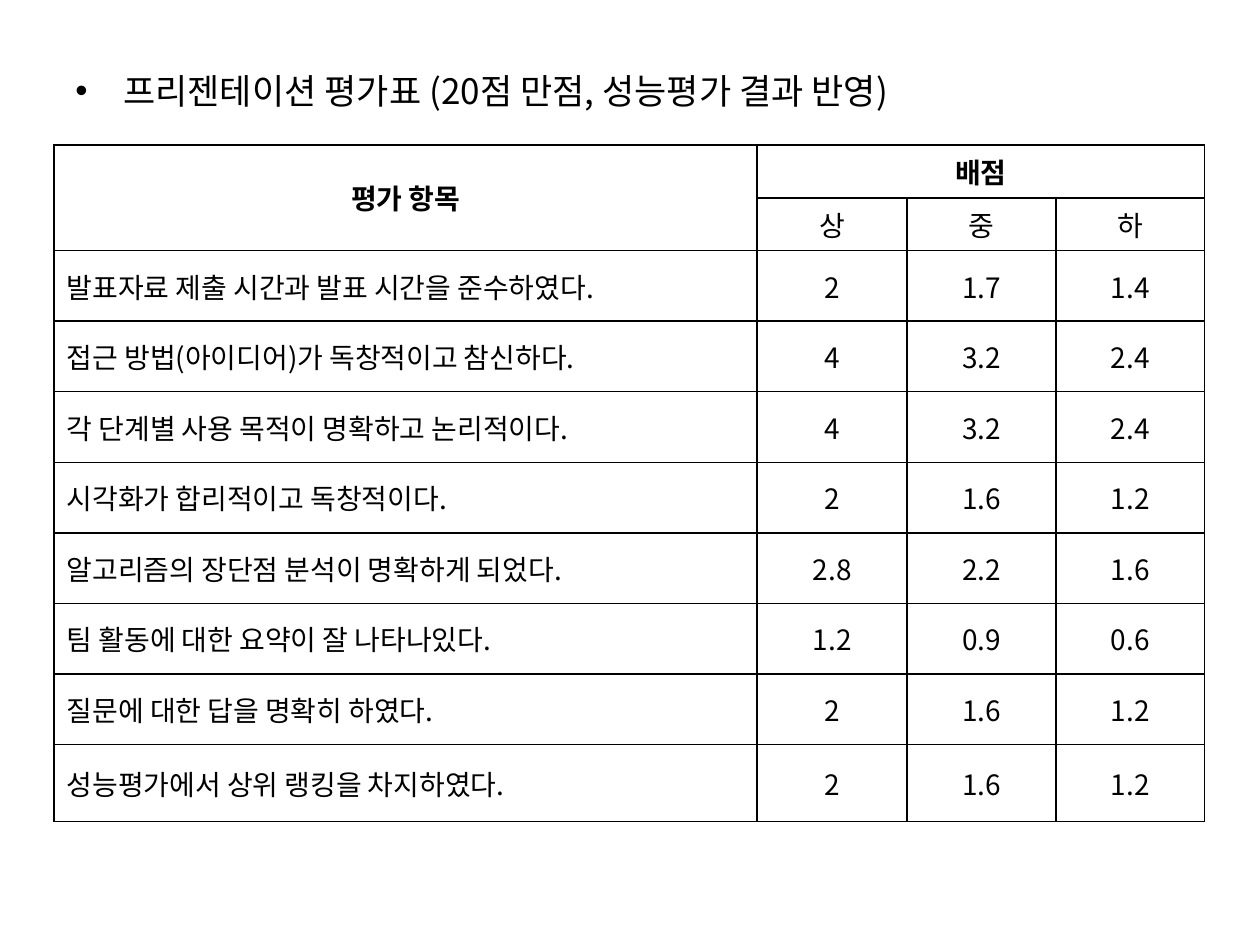
from pptx import Presentation
from pptx.dml.color import RGBColor
from pptx.enum.text import MSO_ANCHOR as Anchor, PP_ALIGN as Align
from pptx.oxml.ns import qn
from pptx.util import Inches, Pt
from lxml.etree import SubElement

# Content
HEADING = "프리젠테이션 평가표 (20점 만점, 성능평가 결과 반영)"
ITEM_HEADER, SCORE_HEADER = "평가 항목", "배점"
GRADES = ["상", "중", "하"]
CRITERIA = [
    ("발표자료 제출 시간과 발표 시간을 준수하였다.", "2", "1.7", "1.4"),
    ("접근 방법(아이디어)가 독창적이고 참신하다.", "4", "3.2", "2.4"),
    ("각 단계별 사용 목적이 명확하고 논리적이다.", "4", "3.2", "2.4"),
    ("시각화가 합리적이고 독창적이다.", "2", "1.6", "1.2"),
    ("알고리즘의 장단점 분석이 명확하게 되었다.", "2.8", "2.2", "1.6"),
    ("팀 활동에 대한 요약이 잘 나타나있다.", "1.2", "0.9", "0.6"),
    ("질문에 대한 답을 명확히 하였다.", "2", "1.6", "1.2"),
    ("성능평가에서 상위 랭킹을 차지하였다.", "2", "1.6", "1.2"),
]

THEME = {
    "font": "Noto Sans CJK KR",
    "ink": RGBColor(0, 0, 0),
    "paper": RGBColor(255, 255, 255),
    "heading_size": Pt(20),
    "table_size": Pt(16),
    "border": Pt(1),
}

# Layout in inches
COLUMN_WIDTHS = [5.58, 1.19, 1.18, 1.18]
ROW_HEIGHTS = [0.42] * 2 + [0.56] * (len(CRITERIA) - 1) + [0.61]
TABLE_LEFT, TABLE_TOP = 0.43, 1.15
BULLET_INDENT = Inches(0.38)


def write(text_frame, text, size, bold=False, align=Align.LEFT):
    paragraph = text_frame.paragraphs[0]
    paragraph.alignment = align
    run = paragraph.add_run()
    run.text = text
    font = run.font
    font.name, font.size, font.bold = THEME["font"], size, bold
    font.color.rgb = THEME["ink"]
    SubElement(run._r.get_or_add_rPr(), qn("a:ea"), typeface=THEME["font"])
    return paragraph


def style_cell(cell):
    properties = cell._tc.get_or_add_tcPr()
    for side in ("a:lnL", "a:lnR", "a:lnT", "a:lnB"):
        line = SubElement(properties, qn(side), w=str(THEME["border"]))
        fill = SubElement(line, qn("a:solidFill"))
        SubElement(fill, qn("a:srgbClr"), val=str(THEME["ink"]))
    cell.fill.solid()
    cell.fill.fore_color.rgb = THEME["paper"]
    cell.vertical_anchor = Anchor.MIDDLE


def add_heading(slide):
    box = slide.shapes.add_textbox(Inches(0.5), Inches(0.52), Inches(9.07), Inches(0.39))
    frame = box.text_frame
    frame.word_wrap = True
    frame.vertical_anchor = Anchor.MIDDLE
    paragraph = write(frame, HEADING, THEME["heading_size"])
    properties = paragraph._p.get_or_add_pPr()
    properties.set("marL", str(BULLET_INDENT))
    properties.set("indent", str(-BULLET_INDENT))
    SubElement(properties, qn("a:buFont"), typeface="Arial")
    SubElement(properties, qn("a:buChar"), char="•")


def add_score_table(slide):
    rows = [(ITEM_HEADER, SCORE_HEADER, "", ""), ("", *GRADES), *CRITERIA]
    table = slide.shapes.add_table(
        len(rows), len(COLUMN_WIDTHS), Inches(TABLE_LEFT), Inches(TABLE_TOP),
        Inches(sum(COLUMN_WIDTHS)), Inches(sum(ROW_HEIGHTS))).table
    table.first_row = table.horz_banding = False
    for column, width in zip(table.columns, COLUMN_WIDTHS):
        column.width = Inches(width)
    for row, height in zip(table.rows, ROW_HEIGHTS):
        row.height = Inches(height)

    # Header cells span two rows and three columns
    table.cell(0, 0).merge(table.cell(1, 0))
    table.cell(0, 1).merge(table.cell(0, 3))

    for row_index, row in enumerate(rows):
        for column_index, text in enumerate(row):
            cell = table.cell(row_index, column_index)
            style_cell(cell)
            if text:
                is_criterion = row_index > 1 and column_index == 0
                write(cell.text_frame, text, THEME["table_size"], bold=row_index == 0,
                      align=Align.LEFT if is_criterion else Align.CENTER)


def main():
    presentation = Presentation()
    presentation.slide_width, presentation.slide_height = Inches(10), Inches(7.5)
    slide = presentation.slides.add_slide(presentation.slide_layouts[6])
    add_heading(slide)
    add_score_table(slide)
    presentation.save("out.pptx")


if __name__ == "__main__":
    main()
